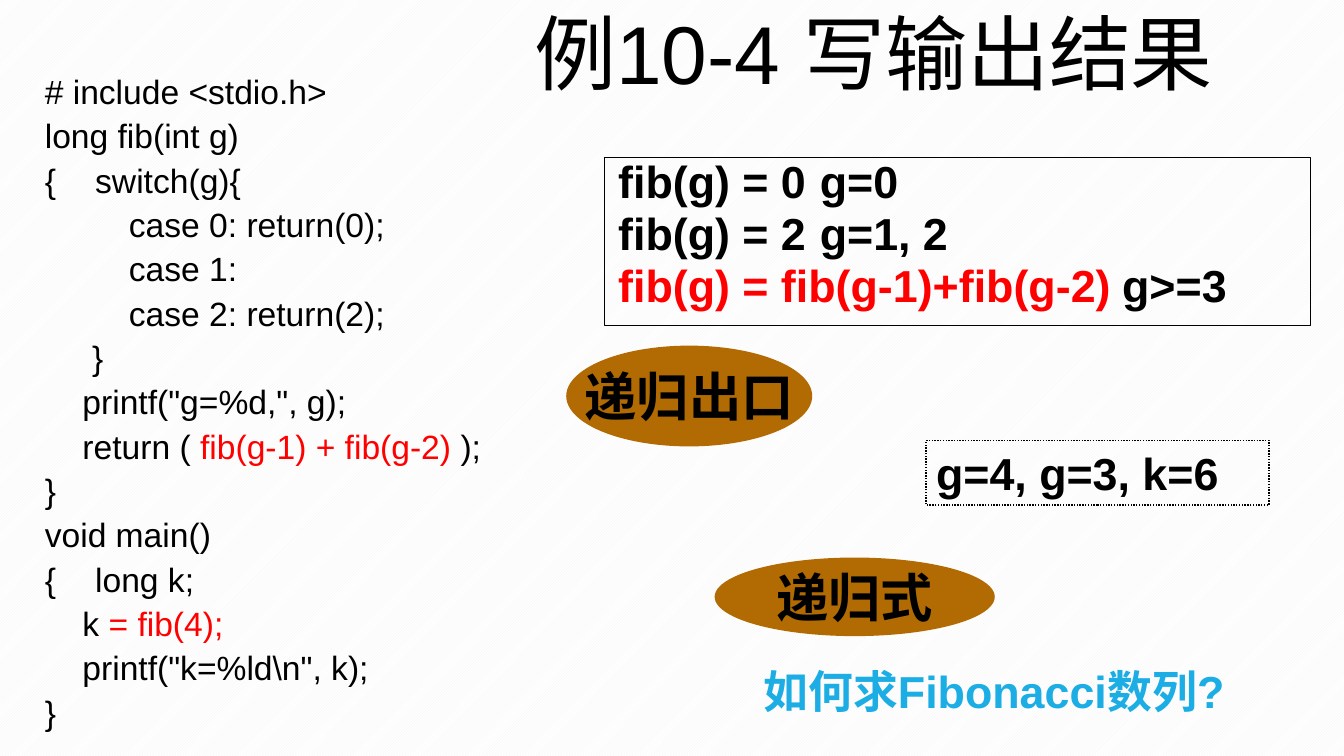
from lxml import etree
from pptx import Presentation
from pptx.dml.color import RGBColor
from pptx.enum.dml import MSO_LINE, MSO_PATTERN
from pptx.enum.shapes import MSO_SHAPE
from pptx.enum.text import MSO_ANCHOR, MSO_AUTO_SIZE, PP_ALIGN
from pptx.oxml.ns import qn
from pptx.util import Cm, Pt

RECTANGLE, OVAL = MSO_SHAPE.RECTANGLE, MSO_SHAPE.OVAL
TOP, MIDDLE = MSO_ANCHOR.TOP, MSO_ANCHOR.MIDDLE
LEFT, CENTER, JUSTIFY = PP_ALIGN.LEFT, PP_ALIGN.CENTER, PP_ALIGN.JUSTIFY
GROW = MSO_AUTO_SIZE.SHAPE_TO_FIT_TEXT
DOTTED = MSO_LINE.ROUND_DOT
DIAGONAL = MSO_PATTERN.LIGHT_UPWARD_DIAGONAL

COLORS = {name: RGBColor.from_string(value) for name, value in {
    "black": "000000", "red": "FF0000", "blue": "1CADE4",
    "brown": "B26B02", "white": "FFFFFF", "stripe": "F2F2F2",
}.items()}

deck = Presentation()
deck.slide_width, deck.slide_height = Cm(33.87), Cm(19.05)
page = deck.slides.add_slide(deck.slide_layouts[6])


def add_box(place, kind=None, anchor=TOP, wide=True, wrap=True):
    """Add a text box, or an unfilled shape of the given kind."""
    place = [Cm(length) for length in place]
    if kind is None:
        box = page.shapes.add_textbox(*place)
    else:
        box = page.shapes.add_shape(kind, *place)
        box.shadow.inherit = False
        box.fill.background()
        box.line.fill.background()
    frame = box.text_frame
    frame.word_wrap = wrap
    frame.vertical_anchor = anchor
    if wide:
        frame.margin_left = frame.margin_right = Cm(0.34)
        frame.margin_top = frame.margin_bottom = Cm(0.17)
    return box


def write(box, lines, size, font="Arial", bold=False, align=LEFT,
          spacing=1.0, before=0):
    """Write lines of (indent, tab stop, spans); before is a percentage."""
    frame = box.text_frame
    for number, (indent, tab, spans) in enumerate(lines):
        para = frame.add_paragraph() if number else frame.paragraphs[0]
        para.alignment = align
        para.line_spacing = spacing
        para.space_before = Pt(0)
        properties = para._p.get_or_add_pPr()
        properties.set("marL", str(Cm(indent)))
        properties.set("indent", "0")
        gap = properties.find(qn("a:spcBef"))
        gap.remove(gap[0])
        etree.SubElement(gap, qn("a:spcPct"), val=str(before * 1000))
        if tab:
            stops = etree.SubElement(properties, qn("a:tabLst"))
            etree.SubElement(stops, qn("a:tab"), pos=str(Cm(tab)), algn="l")
        para.font.name, para.font.size, para.font.bold = font, Pt(size), bold
        for text, color in spans:
            span = para.add_run()
            span.text = text
            span.font.color.rgb = COLORS[color]


# Striped background
backdrop = page.background.fill
backdrop.patterned()
backdrop.pattern = DIAGONAL
backdrop.fore_color.rgb = COLORS["stripe"]
backdrop.back_color.rgb = COLORS["white"]

# Title
title = add_box((11.86, 0.56, 20.32, 1.5), anchor=MIDDLE)
write(title, [(0, 0, [("例10-4 写输出结果", "black")])], 58.6, align=CENTER)

# Program listing
BODY, BRACE, CASE = 0.95, 1.19, 2.12
program = [
    (0, [("# include <stdio.h>", "black")]),
    (0, [("long fib(int g)", "black")]),
    (0, [("{\tswitch(g){", "black")]),
    (CASE, [("case 0: return(0);", "black")]),
    (CASE, [("case 1:", "black")]),
    (CASE, [("case 2: return(2);", "black")]),
    (BRACE, [("}", "black")]),
    (BODY, [('printf("g=%d,", g);', "black")]),
    (BODY, [("return ( ", "black"), ("fib(g-1) + fib(g-2) ", "red"), (");", "black")]),
    (0, [("}", "black")]),
    (0, [("void main()", "black")]),
    (0, [("{\tlong k;", "black")]),
    (BODY, [("k ", "black"), ("= fib(4);", "red")]),
    (BODY, [('printf("k=%ld\\n", k);', "black")]),
    (0, [("}", "black")]),
]
listing = add_box((0.79, 1.52, 17.22, 17.32))
write(listing, [(indent, 0 if indent else 0.98, spans) for indent, spans in program],
      24, spacing=1.1)

# Recursive definition
definition = add_box((15.24, 3.96, 17.78, 4.24), RECTANGLE)
definition.line.color.rgb = COLORS["black"]
definition.line.width = Pt(0.75)
write(definition, [
    (0, 13.5, [("fib(g) = 0\tg=0", "black")]),
    (0, 13.5, [("fib(g) = 2\tg=1, 2", "black")]),
    (0, 14, [("fib(g) = fib(g-1)+fib(g-2)", "red"), ("\tg>=3", "black")]),
], 32, bold=True, spacing=0.8, before=20)

# Program output
output = add_box((23.34, 11.1, 8.64, 1.63), RECTANGLE, wide=False)
output.line.color.rgb = COLORS["black"]
output.line.width = Pt(1)
output.line.dash_style = DOTTED
output.text_frame.auto_size = GROW
write(output, [(0, 0, [("g=4, g=3, k=6", "black")])], 32, bold=True, before=30)

# Closing question
question = add_box((18.9, 16.71, 12.42, 1.57))
question.text_frame.auto_size = GROW
write(question, [(0, 0, [("如何求Fibonacci数列?", "blue")])], 32,
      bold=True, align=JUSTIFY, spacing=0.9, before=20)

# Oval labels
for label, place, before in [
    ("递归式", (18.01, 14.05, 7.06, 1.98), 0),
    ("递归出口", (14.27, 8.71, 6.2, 2.54), 50),
]:
    oval = add_box(place, OVAL, MIDDLE, wide=False, wrap=False)
    oval.fill.solid()
    oval.fill.fore_color.rgb = COLORS["brown"]
    write(oval, [(0, 0, [(label, "black")])], 37.4, "Times New Roman",
          bold=True, align=CENTER, before=before)

deck.save("out.pptx")
